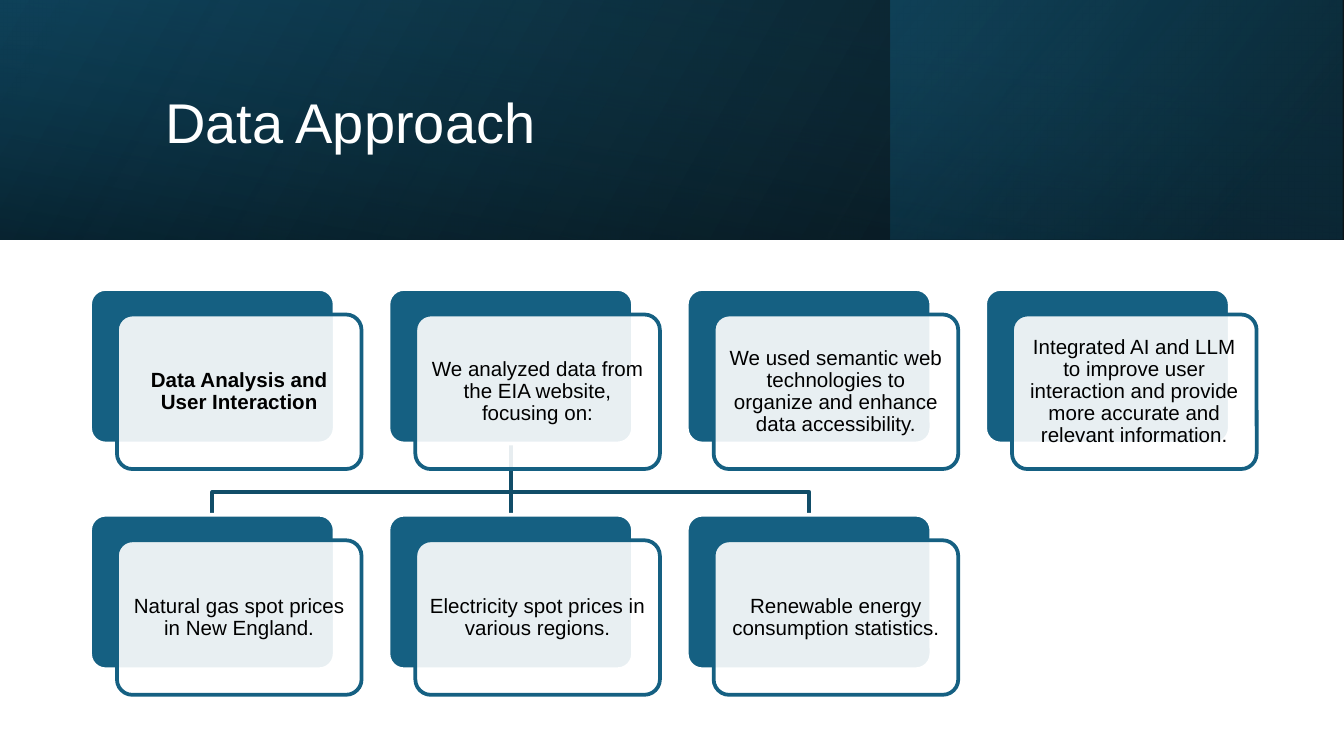
from lxml import etree
from pptx import Presentation
from pptx.dml.color import RGBColor
from pptx.enum.shapes import MSO_CONNECTOR, MSO_SHAPE
from pptx.enum.text import MSO_ANCHOR, PP_ALIGN
from pptx.oxml.ns import qn
from pptx.util import Inches, Pt

WHITE = RGBColor(0xFF, 0xFF, 0xFF)
BLACK = RGBColor(0x00, 0x00, 0x00)
BLUE = RGBColor(0x15, 0x60, 0x82)
DEEP_BLUE = RGBColor(0x10, 0x48, 0x62)
NAVY = RGBColor(0x0B, 0x30, 0x41)
BRANCH = RGBColor(0x11, 0x4D, 0x68)

FONT = "Arial"
LEFT, TOP = 0.67, 2.15
COLUMN_STEP, ROW_STEP = 2.22, 1.68
CARD_WIDTH, CARD_HEIGHT = 1.82, 1.15
FRONT_SHIFT_X, FRONT_SHIFT_Y = 0.2, 0.19
PARENT_COLUMN = 1

# (row, column, text)
CARDS = [
    (0, 0, "Data Analysis and User Interaction"),
    (0, 1, "We analyzed data from the EIA website, focusing on:"),
    (1, 0, "Natural gas spot prices in New England."),
    (1, 1, "Electricity spot prices in various regions."),
    (1, 2, "Renewable energy consumption statistics."),
    (0, 2, "We used semantic web technologies to organize and enhance data accessibility."),
    (0, 3, "Integrated AI and LLM to improve user interaction and provide more "
           "accurate and relevant information."),
]


def set_opacity(shape, percents):
    """Set the opacity of each fill colour in turn; call before setting the line."""
    colors = list(shape.element.spPr.iter(qn("a:srgbClr")))
    for color, percent in zip(colors, percents):
        etree.SubElement(color, qn("a:alpha"), val=str(percent * 1000))


def add_gradient(slide, left, top, width, height, stops, angle, rotation=0, flip=False):
    """Add a borderless rectangle; stops are (position, colour, opacity in percent)."""
    shape = slide.shapes.add_shape(
        MSO_SHAPE.RECTANGLE, Inches(left), Inches(top), Inches(width), Inches(height))
    shape.shadow.inherit = False
    shape.rotation = rotation
    if flip:
        shape.element.spPr.find(qn("a:xfrm")).set("flipH", "1")
    shape.fill.gradient()
    shape.fill.gradient_angle = 360 - angle
    for stop, (position, color, _) in zip(shape.fill.gradient_stops, stops):
        stop.position = position / 100
        stop.color.rgb = color
    set_opacity(shape, [opacity for _, _, opacity in stops])
    shape.line.fill.background()


def write_text(shape, text, size, color, bold=False, align=PP_ALIGN.LEFT,
               inset_x=0.1, inset_y=0.05):
    frame = shape.text_frame
    frame.word_wrap = True
    frame.vertical_anchor = MSO_ANCHOR.MIDDLE
    frame.margin_left = frame.margin_right = Inches(inset_x)
    frame.margin_top = frame.margin_bottom = Inches(inset_y)
    paragraph = frame.paragraphs[0]
    paragraph.alignment = align
    paragraph.line_spacing = 0.9
    run = paragraph.add_run()
    run.text = text
    run.font.name = FONT
    run.font.size = Pt(size)
    run.font.bold = bold
    run.font.color.rgb = color


def add_panel(slide, left, top, fill, line, opacity=None):
    panel = slide.shapes.add_shape(
        MSO_SHAPE.ROUNDED_RECTANGLE, Inches(left), Inches(top),
        Inches(CARD_WIDTH), Inches(CARD_HEIGHT))
    panel.adjustments[0] = 0.1
    panel.shadow.inherit = False
    panel.fill.solid()
    panel.fill.fore_color.rgb = fill
    if opacity is not None:
        set_opacity(panel, [opacity])
    panel.line.color.rgb = line
    panel.line.width = Pt(2)
    return panel


def add_card(slide, row, column, text):
    """Add a blue panel with a text panel shifted over it; return the blue one."""
    left = LEFT + column * COLUMN_STEP
    top = TOP + row * ROW_STEP
    back = add_panel(slide, left, top, BLUE, WHITE)
    front = add_panel(slide, left + FRONT_SHIFT_X, top + FRONT_SHIFT_Y, WHITE, BLUE, 90)
    write_text(front, text, 11, BLACK, bold=(row == 0 and column == 0),
               align=PP_ALIGN.CENTER, inset_x=0.05)
    return back


def card_center(column):
    return LEFT + column * COLUMN_STEP + CARD_WIDTH / 2


def add_elbow(slide, column):
    """Add the branch from the parent card to the card in the given column below."""
    start_x, end_x = card_center(PARENT_COLUMN), card_center(column)
    start_y, bend_y, end_y = TOP + CARD_HEIGHT, 3.66, TOP + ROW_STEP
    builder = slide.shapes.build_freeform(Inches(start_x), Inches(start_y))
    builder.add_line_segments(
        [(Inches(x), Inches(y))
         for x, y in [(start_x, bend_y), (end_x, bend_y), (end_x, end_y)]],
        close=False)
    elbow = builder.convert_to_shape()
    elbow.shadow.inherit = False
    elbow.fill.background()
    elbow.line.color.rgb = BRANCH
    elbow.line.width = Pt(2)


def add_stem(slide):
    stem = slide.shapes.add_connector(MSO_CONNECTOR.STRAIGHT, 0, 0, 0, 0)
    stem.line.color.rgb = BRANCH
    stem.line.width = Pt(2)
    etree.SubElement(stem.element.spPr, qn("a:effectLst"))
    return stem


def add_header(slide):
    add_gradient(slide, 0, 0, 10, 1.78,
                 [(0, BLACK, 96), (100, DEEP_BLUE, 100)], 330, flip=True)
    add_gradient(slide, 6.63, 0, 3.36, 1.78,
                 [(19, NAVY, 68), (100, BLUE, 48)], 320, flip=True)
    add_gradient(slide, 4.11, -4.11, 1.78, 10,
                 [(23, DEEP_BLUE, 16), (99, BLACK, 45)], 190, rotation=270)
    title = slide.shapes.add_textbox(Inches(1.13), Inches(0.29), Inches(7.97), Inches(1.29))
    write_text(title, "Data Approach", 30, WHITE)


def main():
    presentation = Presentation()
    presentation.slide_width = Inches(10)
    presentation.slide_height = Inches(10) * 9 // 16
    slide = presentation.slides.add_slide(presentation.slide_layouts[6])

    add_header(slide)
    add_elbow(slide, 2)
    stem = add_stem(slide)
    add_elbow(slide, 0)
    backs = {(row, column): add_card(slide, row, column, text)
             for row, column, text in CARDS}
    stem.begin_connect(backs[0, PARENT_COLUMN], 2)
    stem.end_connect(backs[1, PARENT_COLUMN], 0)

    presentation.save("out.pptx")


if __name__ == "__main__":
    main()
